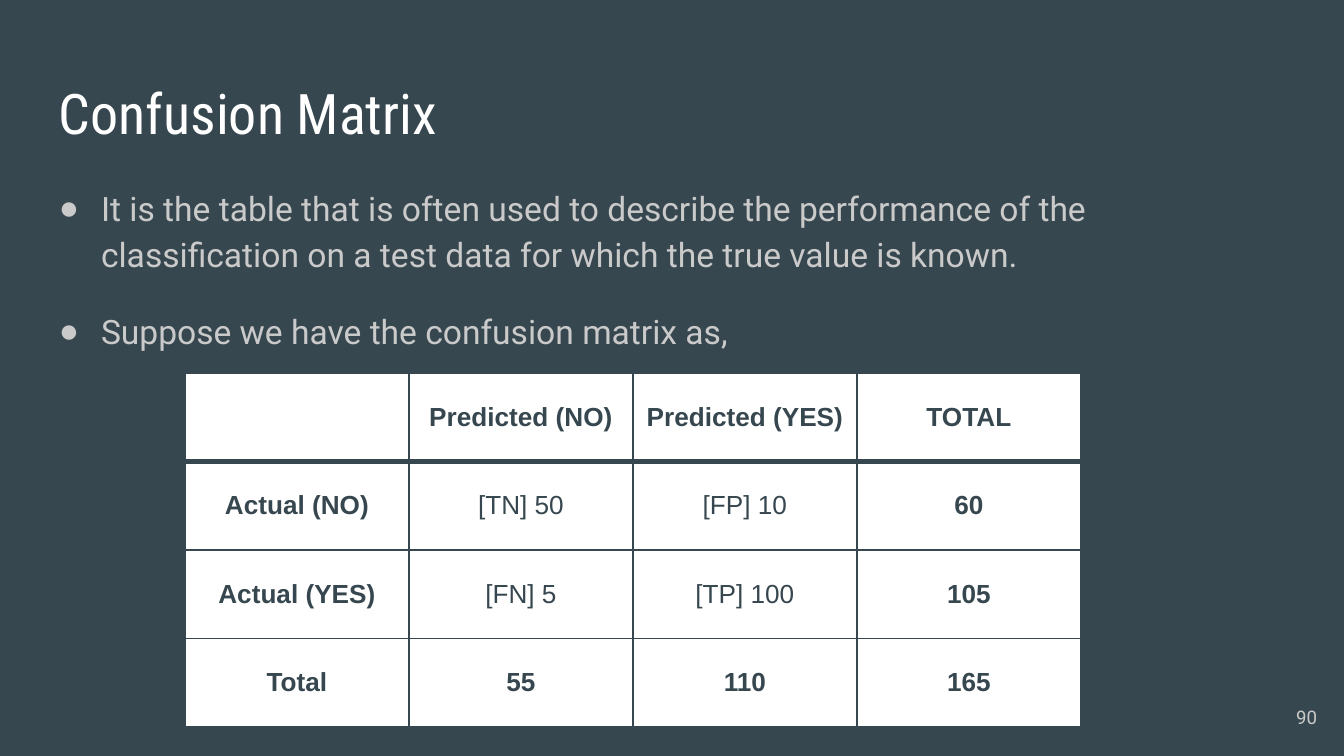
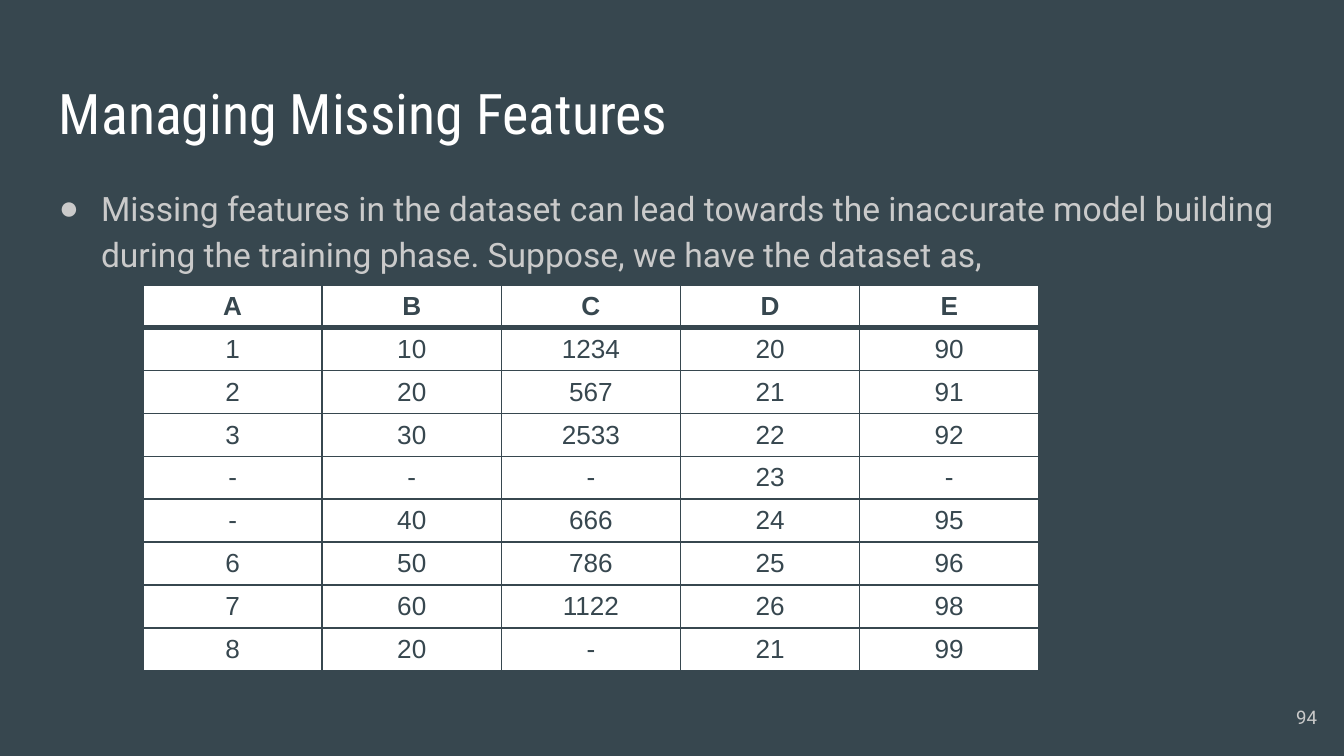
from lxml.etree import SubElement
from pptx import Presentation
from pptx.dml.color import RGBColor
from pptx.enum.text import MSO_ANCHOR as Anchor, MSO_AUTO_SIZE as AutoSize, PP_ALIGN as Align
from pptx.oxml.ns import qn
from pptx.util import Emu, Pt

# Shared look
SLATE, WHITE, GREY = "37474F", "FFFFFF", "CACACA"
TITLE_FONT, BODY_FONT, TABLE_FONT = "Roboto Condensed", "Roboto", "Arial"
SLIDE_SIZE = (1344, 756)
TITLE_BOX = (46, 66, 1253, 85)
NUMBER_BOX = (1249, 688, 81, 58)
INSET = 13
BULLET_INDENT = 42

CONFUSION_MATRIX = [
    ["", "Predicted (NO)", "Predicted (YES)", "TOTAL"],
    ["Actual (NO)", "[TN] 50", "[FP] 10", "60"],
    ["Actual (YES)", "[FN] 5", "[TP] 100", "105"],
    ["Total", "55", "110", "165"],
]
DATASET = [
    ["A", "B", "C", "D", "E"],
    ["1", "10", "1234", "20", "90"],
    ["2", "20", "567", "21", "91"],
    ["3", "30", "2533", "22", "92"],
    ["-", "-", "-", "23", "-"],
    ["-", "40", "666", "24", "95"],
    ["6", "50", "786", "25", "96"],
    ["7", "60", "1122", "26", "98"],
    ["8", "20", "-", "21", "99"],
]


def px(length):
    return Emu(round(length * 914400 / 134.4))


def rgb(color):
    return RGBColor.from_string(color)


def add_bullet(paragraph, color):
    props = paragraph._p.get_or_add_pPr()
    props.set("marL", str(px(BULLET_INDENT)))
    props.set("indent", str(-px(BULLET_INDENT)))
    bullet_color = SubElement(props, qn("a:buClr"))
    SubElement(bullet_color, qn("a:srgbClr"), val=color)
    SubElement(props, qn("a:buChar"), char="●")


def write(frame, *texts, font, size, color, bold=False, align=Align.LEFT,
          bullets=False, line_spacing=1.0, space_after=0):
    for index, text in enumerate(texts):
        paragraph = frame.add_paragraph() if index else frame.paragraphs[0]
        paragraph.text = text
        if bullets:
            add_bullet(paragraph, color)
        paragraph.alignment = align
        paragraph.line_spacing = line_spacing
        paragraph.space_before, paragraph.space_after = Pt(0), Pt(space_after)
        paragraph.font.name, paragraph.font.size = font, Pt(size)
        paragraph.font.bold = bold
        paragraph.font.color.rgb = rgb(color)


def place(shape, box, anchor=Anchor.TOP):
    """Set the box of a text shape and return its text frame."""
    shape.left, shape.top, shape.width, shape.height = map(px, box)
    frame = shape.text_frame
    frame.word_wrap, frame.auto_size = True, AutoSize.NONE
    frame.vertical_anchor = anchor
    frame.margin_left = frame.margin_right = px(INSET)
    frame.margin_top = frame.margin_bottom = px(INSET)
    return frame


def set_borders(cell, color, **widths):
    props = cell._tc.get_or_add_tcPr()
    for side in "LRTB":
        line = SubElement(props, qn("a:ln" + side), w=str(Pt(widths.get(side, 1))))
        fill = SubElement(line, qn("a:solidFill"))
        SubElement(fill, qn("a:srgbClr"), val=color)


def add_grid(slide, rows, box, anchor=Anchor.TOP, totals=False):
    """Draw a table; totals also makes the outer row and column labels bold."""
    last_row, last_column = len(rows) - 1, len(rows[0]) - 1
    left, top, width, height = map(px, box)
    table = slide.shapes.add_table(
        len(rows), len(rows[0]), left, top, width, height).table
    table.first_row = table.horz_banding = False
    for r, row in enumerate(rows):
        for c, value in enumerate(row):
            cell = table.cell(r, c)
            # The heavy rule under the header is shared by rows 0 and 1
            set_borders(cell, SLATE, T=3 if r == 1 else 1, B=3 if r == 0 else 1)
            cell.fill.solid()
            cell.fill.fore_color.rgb = rgb(WHITE)
            cell.vertical_anchor = anchor
            on_edge = c in (0, last_column) or r == last_row
            write(cell.text_frame, value, font=TABLE_FONT, size=14, color=SLATE,
                  bold=r == 0 or (totals and on_edge), align=Align.CENTER)


def add_content_slide(prs, title, points, points_height, number):
    slide = prs.slides.add_slide(prs.slide_layouts[1])
    # Title
    write(place(slide.shapes.title, TITLE_BOX), title,
          font=TITLE_FONT, size=30, color=WHITE)
    # Bulleted points
    write(place(slide.placeholders[1], (46, 169, 1253, points_height)), *points,
          font=BODY_FONT, size=18, color=GREY, bullets=True,
          line_spacing=1.15, space_after=16)
    # Slide number
    page_number = slide.shapes.add_textbox(*map(px, NUMBER_BOX))
    write(place(page_number, NUMBER_BOX, Anchor.MIDDLE), number,
          font=BODY_FONT, size=10, color=GREY, align=Align.RIGHT)
    return slide


def main():
    prs = Presentation()
    prs.slide_width, prs.slide_height = map(px, SLIDE_SIZE)
    background = prs.slide_master.background.fill
    background.solid()
    background.fore_color.rgb = rgb(SLATE)

    matrix_slide = add_content_slide(
        prs, "Confusion Matrix",
        ["It is the table that is often used to describe the performance of the "
         "classification on a test data for which the true value is known.",
         "Suppose we have the confusion matrix as,"], 184, "90")
    add_grid(matrix_slide, CONFUSION_MATRIX, (185, 373, 896, 354),
             anchor=Anchor.MIDDLE, totals=True)

    missing_slide = add_content_slide(
        prs, "Managing Missing Features",
        ["Missing features in the dataset can lead towards the inaccurate model "
         "building during the training phase. Suppose, we have the dataset as,"],
        110, "94")
    add_grid(missing_slide, DATASET, (143, 285, 896, 378))

    prs.save("out.pptx")


if __name__ == "__main__":
    main()
